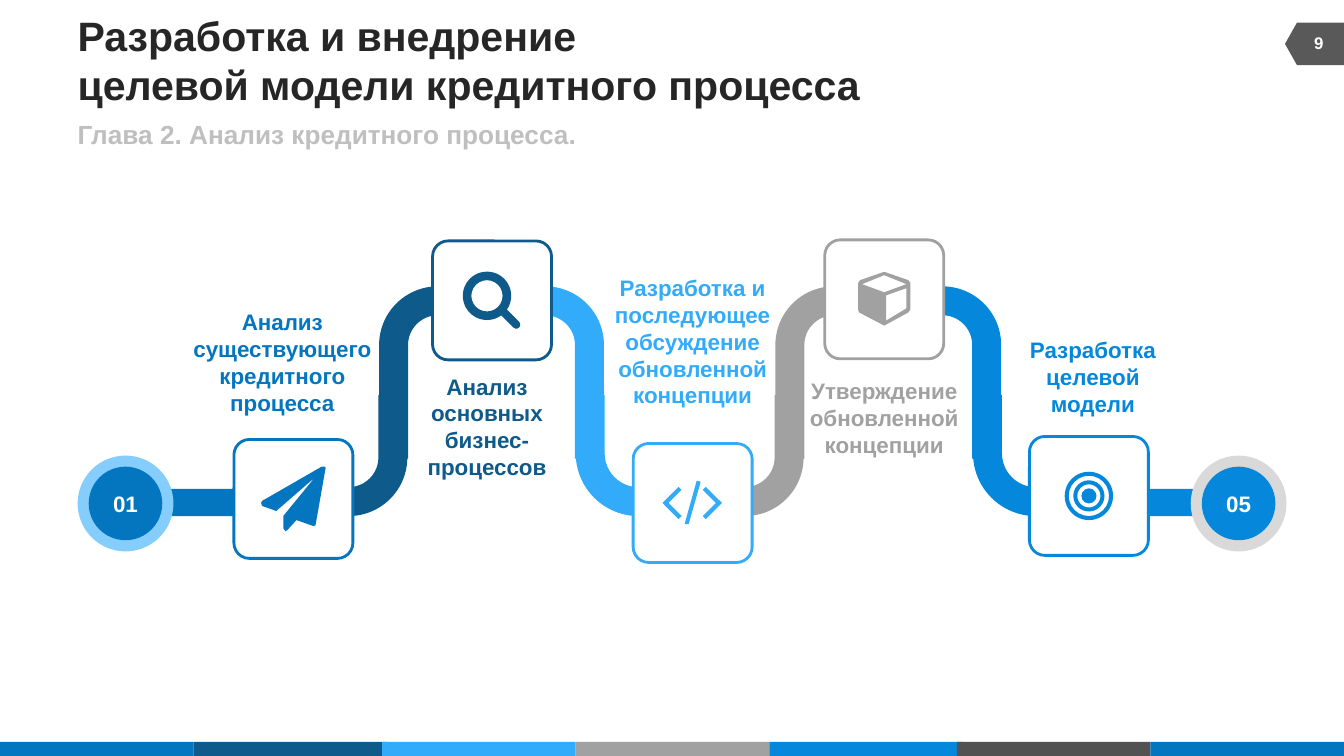
from pptx import Presentation
from pptx import util as u
from pptx.dml.color import RGBColor
from pptx.enum import shapes, text

COLORS = {
    "blue": "0476BF", "navy": "0E5A8B", "sky": "32ACFA", "gray": "A1A1A1",
    "azure": "0588DB", "charcoal": "525252", "tag": "595959", "ink": "262626",
    "subtitle": "BFBFBF", "pale_blue": "84CDFC", "pale_gray": "D9D9D9",
    "white": "FFFFFF",
}
FONT = "Arial"
SHAPE = shapes.MSO_SHAPE


def rgb(name):
    return RGBColor.from_string(COLORS[name])


def write(sp, words, size=16, color="white", align=text.PP_ALIGN.CENTER,
          wrap=True, inset=0):
    tf = sp.text_frame
    tf.word_wrap = wrap
    tf.auto_size = text.MSO_AUTO_SIZE.NONE
    tf.vertical_anchor = text.MSO_ANCHOR.MIDDLE
    tf.margin_left = tf.margin_right = u.Inches(inset)
    tf.margin_top = tf.margin_bottom = u.Inches(inset)
    p = tf.paragraphs[0]
    p.text = words
    p.alignment = align
    for r in p.runs:
        r.font.name, r.font.size, r.font.bold = FONT, u.Pt(size), True
        r.font.color.rgb = rgb(color)


class Deck:
    def __init__(self, prs):
        self.slide = prs.slides.add_slide(prs.slide_layouts[6])

    def paint(self, sp, fill, line=None):
        sp.shadow.inherit = False
        sp.fill.solid()
        sp.fill.fore_color.rgb = rgb(fill)
        if line:
            sp.line.color.rgb = rgb(line)
            sp.line.width = u.Pt(2)
        else:
            sp.line.fill.background()
        return sp

    def shape(self, kind, x, y, w, h, fill, line=None, adj=(), rot=0, flip=False):
        sp = self.slide.shapes.add_shape(kind, *map(u.Inches, (x, y, w, h)))
        for i, value in enumerate(adj):
            sp.adjustments[i] = value
        sp.rotation = rot
        if flip:
            sp._element.spPr.xfrm.set("flipH", "1")
        return self.paint(sp, fill, line)

    def label(self, x, y, w, h, words, **style):
        sp = self.slide.shapes.add_textbox(*map(u.Inches, (x, y, w, h)))
        write(sp, words, **style)

    def outline(self, contours, fill):
        builder = None
        for contour in contours:
            pts = [(u.Inches(x), u.Inches(y)) for x, y in contour]
            if builder is None:
                builder = self.slide.shapes.build_freeform(*pts[0])
            else:
                builder.move_to(*pts[0])
            builder.add_line_segments(pts[1:], close=True)
        return self.paint(builder.convert_to_shape(), fill)

    def ring(self, cx, cy, size, thick, fill):
        self.shape(SHAPE.DONUT, cx - size / 2, cy - size / 2, size, size, fill,
                   adj=[thick / size])

    def pipe(self, x, y, w, h, fill, **turn):
        self.shape(SHAPE.BENT_ARROW, x, y, w, h, fill,
                   adj=[0.287 / min(w, h), 0.144 / min(w, h), 0, 0.52], **turn)

    def rising(self, x, fill):
        self.pipe(x, 2.84, 1.12, 1.71, fill)
        self.pipe(x - 0.84, 3.92, 1.12, 1.2, fill, rot=180)

    def falling(self, x, fill):
        self.pipe(x, 2.84, 1.12, 1.71, fill, flip=True)
        self.pipe(x + 0.84, 3.92, 1.2, 1.2, fill, rot=270)

    def straight(self, x, w, fill):
        self.shape(SHAPE.RIGHT_ARROW, x, 4.85, w, 0.27, fill, adj=[1, 0])

    def card(self, x, y, color):
        self.shape(SHAPE.ROUNDED_RECTANGLE, x, y, 1.18, 1.18, "white", color, [0.13])

    def badge(self, x, number, rim, core):
        self.shape(SHAPE.OVAL, x, 4.52, 0.95, 0.95, rim)
        write(self.shape(SHAPE.OVAL, x + 0.11, 4.63, 0.73, 0.73, core), number)


def main():
    prs = Presentation()
    prs.slide_width, prs.slide_height = u.Inches(13.33), u.Inches(7.5)
    s = Deck(prs)

    # Colour strip along the bottom
    strip = zip((0, 1.92, 3.79, 5.71, 7.63, 9.49, 11.41),
                ("blue", "navy", "sky", "gray", "azure", "charcoal", "blue"))
    for x, color in strip:
        s.shape(SHAPE.RECTANGLE, x, 7.36, 1.92, 0.14, color)

    # Page number
    s.shape(SHAPE.FLOWCHART_OFFPAGE_CONNECTOR, 12.83, 0.14, 0.42, 0.59, "tag", rot=90)
    s.label(12.8, 0.22, 0.56, 0.4, "9", size=12, inset=0.05)

    # Headings
    left = dict(align=text.PP_ALIGN.LEFT, wrap=False)
    s.label(0.77, 0.33, 8.22, 0.52,
            "Разработка и внедрение\vцелевой модели кредитного процесса",
            size=29.3, color="ink", **left)
    s.label(0.77, 1.18, 6, 0.29, "Глава 2. Анализ кредитного процесса.",
            size=18.7, color="subtitle", **left)

    # Winding pipe
    s.falling(8.81, "azure")
    s.rising(7.69, "gray")
    s.falling(4.87, "sky")
    s.rising(3.76, "navy")
    s.straight(1.16, 1.2, "blue")
    s.straight(11.39, 1, "azure")

    # Steps: label box, card corner, colour
    steps = [
        ("Анализ существующего кредитного процесса",
         (1.89, 3.05, 1.82, 1.08), (2.32, 4.36), "blue"),
        ("Анализ основных бизнес-процессов",
         (4.02, 3.69, 1.62, 1.08), (4.29, 2.39), "navy"),
        ("Разработка и последующее обсуждение обновленной концепции",
         (5.77, 2.71, 2.2, 1.35), (6.28, 4.4), "sky"),
        ("Утверждение обновленной концепции",
         (7.57, 3.74, 2.4, 0.81), (8.18, 2.38), "gray"),
        ("Разработка целевой модели",
         (10.11, 3.33, 1.46, 0.81), (10.21, 4.33), "azure"),
    ]
    for words, box, corner, color in steps:
        s.card(*corner, color)
        s.label(*box, words, color=color)

    # Paper plane icon
    s.outline([[(3.23, 4.64), (3.13, 5.21), (3.11, 5.22), (2.94, 5.16), (2.85, 5.26),
                (2.83, 5.27), (2.81, 5.24), (2.81, 5.12), (3.12, 4.74), (2.74, 5.07),
                (2.6, 5.02), (2.59, 4.99), (2.6, 4.97), (3.19, 4.63), (3.22, 4.63)]],
              "blue")

    # Magnifier icon
    s.ring(4.83, 2.935, 0.48, 0.085, "navy")
    s.shape(SHAPE.ROUNDED_RECTANGLE, 4.91, 3.11, 0.28, 0.08, "navy", adj=[0.5], rot=45)

    # Code icon: the right bracket mirrors the left one
    bracket = [(6.73, 5.15), (6.57, 4.99), (6.73, 4.83), (6.76, 4.86), (6.63, 4.99),
               (6.76, 5.12)]
    mirrored = [(2 * 6.865 - x, y) for x, y in bracket]
    slash = [(6.83, 5.2), (6.79, 5.2), (6.91, 4.77), (6.95, 4.78)]
    s.outline([bracket, slash, mirrored], "sky")

    # Cube icon
    s.outline([[(9.03, 3.07), (9.01, 3.1), (8.79, 3.22), (8.77, 3.23), (8.75, 3.22),
                (8.52, 3.1), (8.51, 3.07), (8.51, 2.81), (8.53, 2.78), (8.76, 2.7),
                (8.78, 2.7), (9.01, 2.78), (9.03, 2.81)],
               [(8.99, 2.82), (8.77, 2.73), (8.55, 2.82), (8.77, 2.9)],
               [(8.99, 3.06), (8.99, 2.86), (8.79, 2.93), (8.79, 3.18)]], "gray")

    # Target icon
    for size, thick in ((0.48, 0.04), (0.31, 0.04), (0.15, 0.075)):
        s.ring(10.8, 4.92, size, thick, "azure")

    # First and last badges
    s.badge(0.77, "01", "pale_blue", "blue")
    s.badge(11.81, "05", "pale_gray", "azure")

    prs.save("out.pptx")


if __name__ == "__main__":
    main()
